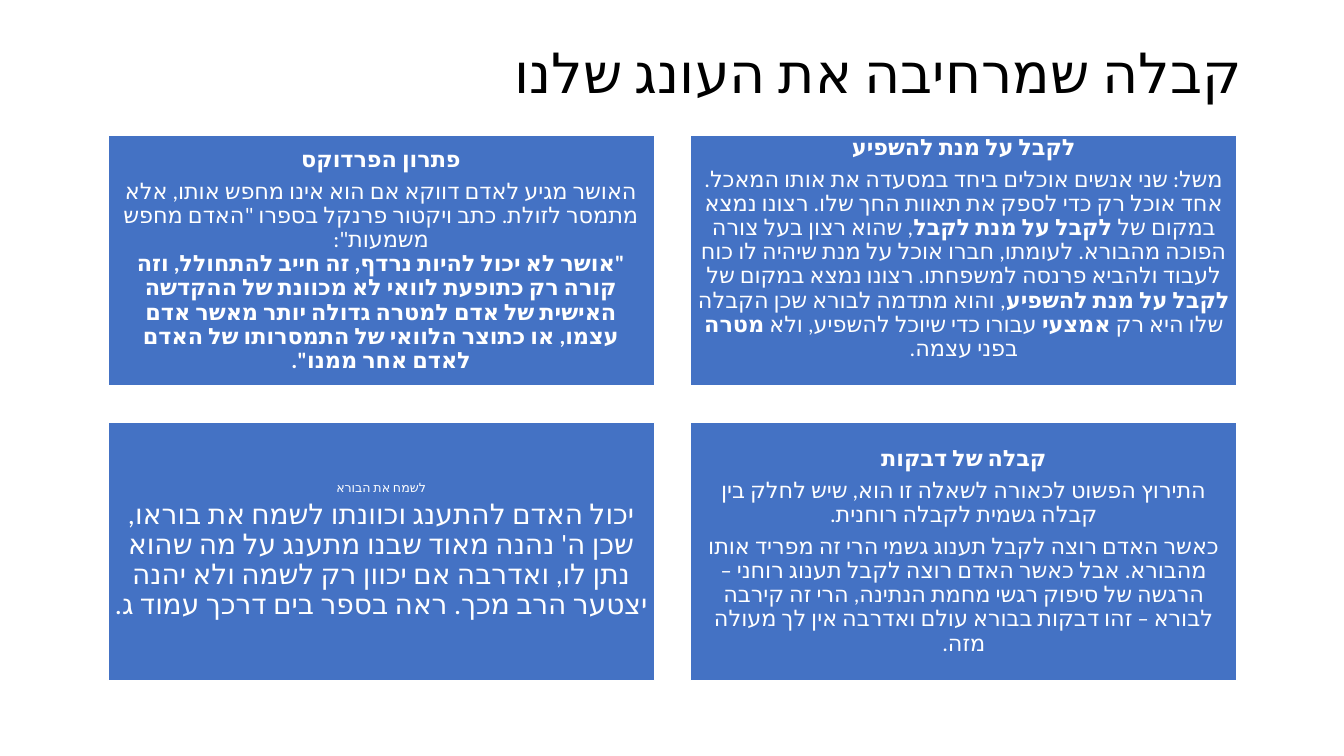
from lxml.etree import SubElement
from pptx import Presentation
from pptx.dml.color import RGBColor
from pptx.enum.lang import MSO_LANGUAGE_ID
from pptx.enum.shapes import MSO_SHAPE
from pptx.enum.text import MSO_ANCHOR, MSO_AUTO_SIZE, PP_ALIGN
from pptx.oxml.ns import qn
from pptx.util import Inches, Pt

COLORS = {"card": "4472C4", "border": "FFFFFF", "card_text": "FFFFFF", "title": "000000"}
FONT = "Calibri"

# Card grid, in inches
COLUMN_LEFTS = (6.85, 1.07)
CARD_WIDTH = 5.42
ROWS = ((1.34, 2.49), (4.19, 2.56))  # top, height

TITLE = "קבלה שמרחיבה את העונג שלנו"

# Reading order is right to left; asterisks enclose bold words, \n breaks a line
CARDS = [
    {"sizes": (16, 16), "inset": 0.07, "paragraphs": [
        "*לקבל על מנת להשפיע*",
        "משל: שני אנשים אוכלים ביחד במסעדה את אותו המאכל. אחד אוכל רק כדי לספק את תאוות החך שלו. "
        "רצונו נמצא במקום של *לקבל על מנת לקבל*, שהוא רצון בעל צורה הפוכה מהבורא. לעומתו, חברו אוכל "
        "על מנת שיהיה לו כוח לעבוד ולהביא פרנסה למשפחתו. רצונו נמצא במקום של *לקבל על מנת להשפיע*, "
        "והוא מתדמה לבורא שכן הקבלה שלו היא רק *אמצעי* עבורו כדי שיוכל להשפיע, ולא *מטרה* בפני עצמה.\n",
    ]},
    {"sizes": (16, 16), "inset": 0.07, "paragraphs": [
        "*פתרון הפרדוקס*",
        "האושר מגיע לאדם דווקא אם הוא אינו מחפש אותו, אלא מתמסר לזולת. כתב ויקטור פרנקל בספרו "
        "\"האדם מחפש משמעות\":\n*\"אושר לא יכול להיות נרדף, זה חייב להתחולל, וזה קורה רק כתופעת לוואי "
        "לא מכוונת של ההקדשה האישית של אדם למטרה גדולה יותר מאשר אדם עצמו, או כתוצר הלוואי של "
        "התמסרותו של האדם לאדם אחר ממנו\".*",
    ]},
    {"sizes": (16, 16), "inset": 0.07, "paragraphs": [
        "*קבלה של דבקות*",
        "התירוץ הפשוט לכאורה לשאלה זו הוא, שיש לחלק בין קבלה גשמית לקבלה רוחנית.",
        "כאשר האדם רוצה לקבל תענוג גשמי הרי זה מפריד אותו מהבורא. אבל כאשר האדם רוצה לקבל תענוג "
        "רוחני – הרגשה של סיפוק רגשי מחמת הנתינה, הרי זה קירבה לבורא – זהו דבקות בבורא עולם "
        "ואדרבה אין לך מעולה מזה.",
    ]},
    {"sizes": (9, 20), "inset": 0.04, "paragraphs": [
        "לשמח את הבורא",
        "יכול האדם להתענג וכוונתו לשמח את בוראו, שכן ה' נהנה מאוד שבנו מתענג על מה שהוא נתן לו, "
        "ואדרבה אם יכוון רק לשמה ולא יהנה יצטער הרב מכך. ראה בספר בים דרכך עמוד ג.",
    ]},
]


def format_run(run, size, color, bold=False):
    run.font.name = FONT
    run.font.size = Pt(size)
    run.font.bold = bold
    run.font.language_id = MSO_LANGUAGE_ID.HEBREW
    run.font.color.rgb = RGBColor.from_string(COLORS[color])
    SubElement(run.font._element, qn("a:cs"), typeface=FONT)


def format_paragraph(paragraph, alignment):
    paragraph.alignment = alignment
    paragraph.line_spacing = 0.9
    paragraph._p.get_or_add_pPr().set("rtl", "1")


def fill_paragraph(paragraph, text, size):
    format_paragraph(paragraph, PP_ALIGN.CENTER)
    space_after = SubElement(paragraph._p.pPr, qn("a:spcAft"))
    SubElement(space_after, qn("a:spcPct"), val="35000")
    for index, piece in enumerate(text.split("*")):
        for line_number, line in enumerate(piece.split("\n")):
            if line_number:
                paragraph.add_line_break()
            if line:
                run = paragraph.add_run()
                run.text = line
                format_run(run, size, "card_text", bold=index % 2 == 1)
    # Line breaks and the paragraph end keep the text size
    for line_break in paragraph._p.findall(qn("a:br")):
        SubElement(line_break, qn("a:rPr"), sz=str(size * 100))
    SubElement(paragraph._p, qn("a:endParaRPr"), sz=str(size * 100))


def add_title(slide, left, top, width, height):
    title = slide.shapes.title
    title.left, title.top, title.width, title.height = map(Inches, (left, top, width, height))
    text_frame = title.text_frame
    text_frame.text = TITLE
    text_frame.word_wrap = True
    text_frame.auto_size = MSO_AUTO_SIZE.NONE
    text_frame.vertical_anchor = MSO_ANCHOR.MIDDLE
    paragraph = text_frame.paragraphs[0]
    format_paragraph(paragraph, PP_ALIGN.RIGHT)
    format_run(paragraph.runs[0], 39.6, "title")


def add_card(slide, card, left, top, width, height):
    shape = slide.shapes.add_shape(MSO_SHAPE.RECTANGLE, *map(Inches, (left, top, width, height)))
    shape.shadow.inherit = False
    shape.fill.solid()
    shape.fill.fore_color.rgb = RGBColor.from_string(COLORS["card"])
    shape.line.color.rgb = RGBColor.from_string(COLORS["border"])
    shape.line.width = Pt(1)

    text_frame = shape.text_frame
    text_frame.word_wrap = True
    text_frame.vertical_anchor = MSO_ANCHOR.MIDDLE
    inset = Inches(card["inset"])
    text_frame.margin_left = text_frame.margin_right = inset
    text_frame.margin_top = text_frame.margin_bottom = inset
    heading_size, body_size = card["sizes"]
    for index, text in enumerate(card["paragraphs"]):
        paragraph = text_frame.add_paragraph() if index else text_frame.paragraphs[0]
        fill_paragraph(paragraph, text, body_size if index else heading_size)


def main():
    presentation = Presentation()
    presentation.slide_width = Inches(13.33)
    presentation.slide_height = Inches(7.5)
    slide = presentation.slides.add_slide(presentation.slide_layouts[5])
    add_title(slide, 0.92, 0.4, 11.5, 0.7)
    # Two by two cards, filled row by row from the right
    for index, card in enumerate(CARDS):
        row, column = divmod(index, len(COLUMN_LEFTS))
        top, height = ROWS[row]
        add_card(slide, card, COLUMN_LEFTS[column], top, CARD_WIDTH, height)
    presentation.save("out.pptx")


if __name__ == "__main__":
    main()
